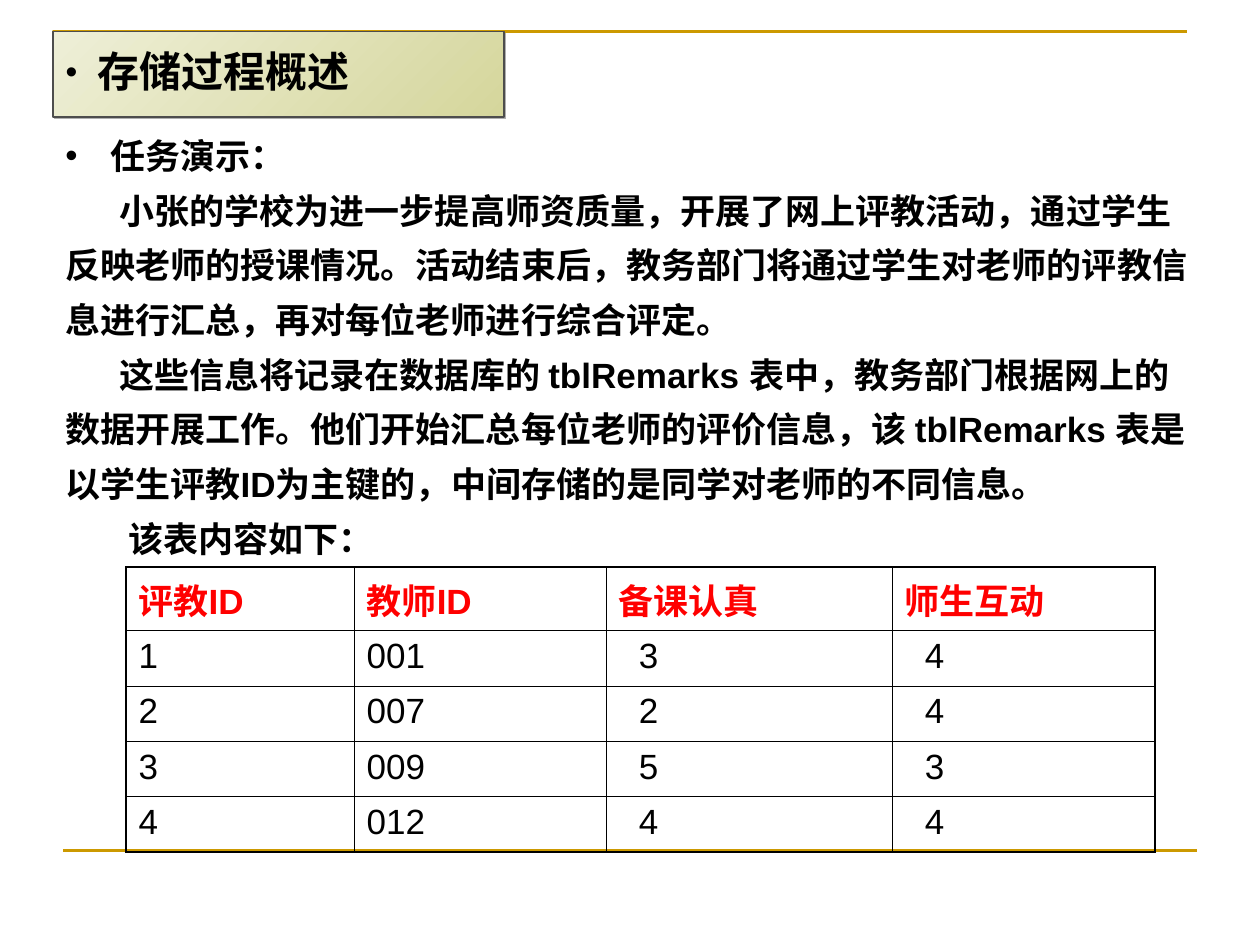
from pptx import Presentation, util as u
from pptx.dml.color import RGBColor
from pptx.enum import shapes, text
from pptx.oxml import parse_xml
from pptx.oxml.ns import nsdecls

Inches, Pt = u.Inches, u.Pt
GOLD, BLACK, RED = "CC9900", "000000", "FF0000"
TITLE = "存储过程概述"
# text, left margin, first-line indent, bullet
BODY = [
    ("任务演示：", 0.36, -0.36, True),
    ("小张的学校为进一步提高师资质量，开展了网上评教活动，通过学生反映老师的授课情况。"
     "活动结束后，教务部门将通过学生对老师的评教信息进行汇总，再对每位老师进行综合评定。", 0, 0.43, False),
    ("这些信息将记录在数据库的 tblRemarks 表中，教务部门根据网上的数据开展工作。"
     "他们开始汇总每位老师的评价信息，该 tblRemarks 表是以学生评教ID为主键的，"
     "中间存储的是同学对老师的不同信息。", 0, 0.43, False),
    ("该表内容如下：", 0, 0.5, False),
]
ROWS = [
    ("评教ID", "教师ID", "备课认真", "师生互动"),
    ("1", "001", "3", "4"),
    ("2", "007", "2", "4"),
    ("3", "009", "5", "3"),
    ("4", "012", "4", "4"),
]
COL_WIDTHS = (1.81, 2, 2.27, 2.09)
ROW_HEIGHT = 0.44


def rgb(color):
    """Turn a hex string into a colour."""
    return RGBColor.from_string(color)


def xml(tag, attrs="", inner=""):
    """Make one DrawingML element."""
    return parse_xml(f"<a:{tag} {nsdecls('a')} {attrs}>{inner}</a:{tag}>")


def write(p, words, size=20, font="Arial", color=BLACK, bold=True, spacing=None,
          before=0, left=0, indent=0, bullet=0):
    """Fill a paragraph; bullet is the bullet's size in percent, 0 for none."""
    r = p.add_run()
    r.text = words
    r.font.size, r.font.name, r.font.bold = Pt(size), font, bold
    r.font.color.rgb = rgb(color)
    p.alignment = text.PP_ALIGN.LEFT
    p.line_spacing, p.space_before = spacing, Pt(before)
    pPr = p._p.get_or_add_pPr()
    pPr.set("marL", str(Inches(left)))
    pPr.set("indent", str(Inches(indent)))
    if bullet:
        pPr.append(xml("buClr", inner=f'<a:srgbClr val="{BLACK}"/>'))
        pPr.append(xml("buSzPct", f'val="{bullet * 1000}"'))
        pPr.append(xml("buFont", 'typeface="Arial"'))
        pPr.append(xml("buChar", 'char="•"'))
    else:
        pPr.append(xml("buNone"))


def set_frame(tf, side, top, right=None):
    """Set wrapping and insets of a text frame."""
    tf.word_wrap, tf.auto_size = True, text.MSO_AUTO_SIZE.NONE
    tf.margin_left = Inches(side)
    tf.margin_right = Inches(right or side)
    tf.margin_top = tf.margin_bottom = Inches(top)


def add_rules(s):
    """Draw the gold corner rule and the bottom rule."""
    fb = s.shapes.build_freeform(Inches(0.42), Inches(0.92))
    fb.add_line_segments([(Inches(0.42), Inches(0.25)), (Inches(9.42), Inches(0.25))], close=False)
    corner = fb.convert_to_shape()
    corner.shadow.inherit = False
    corner.fill.background()
    bottom = s.shapes.add_connector(shapes.MSO_CONNECTOR.STRAIGHT, Inches(0.5), Inches(6.75),
                                    Inches(9.5), Inches(6.75))
    bottom._element.spPr.append(xml("effectLst"))
    for rule in (corner, bottom):
        rule.line.color.rgb, rule.line.width = rgb(GOLD), Pt(1.5)


def format_title(s):
    """Turn the title placeholder into a shaded rounded box over the rules."""
    sp = s.shapes.title
    s.shapes._spTree.append(sp._element)
    sp.left, sp.top, sp.width, sp.height = map(Inches, (0.42, 0.25, 3.58, 0.68))
    spPr = sp._element.spPr
    spPr.insert(1, xml("prstGeom", 'prst="roundRect"',
                       '<a:avLst><a:gd name="adj" fmla="val 4200"/></a:avLst>'))
    sp.fill.gradient()
    sp.fill.gradient_angle = 315
    for stop, color in zip(sp.fill.gradient_stops, ("EEEFD7", "D5D69C")):
        stop.color.rgb = rgb(color)
    sp.line.color.rgb, sp.line.width = rgb("4D4D4D"), Pt(0.74)
    spPr.append(xml("effectLst", inner=f'<a:outerShdw dist="{Pt(1.4)}" dir="2700000">'
                    '<a:srgbClr val="AFAFAF"/></a:outerShdw>'))
    tf = sp.text_frame
    set_frame(tf, 0.1, 0.15)
    tf.vertical_anchor = text.MSO_ANCHOR.MIDDLE
    write(tf.paragraphs[0], TITLE, size=24, font="Arial Narrow", spacing=0.9, before=12,
          left=0.25, indent=-0.25, bullet=80)


def add_body(s):
    """Add the task description."""
    tf = s.shapes.add_textbox(*map(Inches, (0.42, 0.92, 9.25, 3.57))).text_frame
    set_frame(tf, 0.1, 0.05, right=0.2)
    for i, (words, left, indent, bullet) in enumerate(BODY):
        p = tf.add_paragraph() if i else tf.paragraphs[0]
        write(p, words, spacing=1.3, left=left, indent=indent, bullet=100 if bullet else 0)


def set_borders(cell, outer):
    """Draw cell borders, heavier on the sides named in outer."""
    tcPr = cell._tc.get_or_add_tcPr()
    for side in "LRTB":
        width = Pt(1.08 if side in outer else 0.45)
        tcPr.append(xml(f"ln{side}", f'w="{width}"',
                        f'<a:solidFill><a:srgbClr val="{BLACK}"/></a:solidFill>'))


def add_scores(s):
    """Add the table of ratings."""
    n_rows, n_cols = len(ROWS), len(COL_WIDTHS)
    table = s.shapes.add_table(n_rows, n_cols, Inches(1), Inches(4.5), Inches(sum(COL_WIDTHS)),
                               Inches(ROW_HEIGHT * n_rows)).table
    table.first_row = table.horz_banding = False
    for col, width in zip(table.columns, COL_WIDTHS):
        col.width = Inches(width)
    for i, row in enumerate(ROWS):
        table.rows[i].height = Inches(ROW_HEIGHT)
        for j, words in enumerate(row):
            cell, header = table.cell(i, j), i == 0
            edges = {"L": j == 0, "R": j == n_cols - 1, "T": header, "B": i == n_rows - 1}
            set_borders(cell, [side for side, on in edges.items() if on])
            cell.fill.background()
            write(cell.text_frame.paragraphs[0], words, color=RED if header else BLACK,
                  bold=header, before=5, left=0 if header or j < 2 else 0.16)


prs = Presentation()
prs.slide_width, prs.slide_height = Inches(10), Inches(7.5)
s = prs.slides.add_slide(prs.slide_layouts[5])
add_rules(s)
format_title(s)
add_body(s)
add_scores(s)
prs.save("out.pptx")
